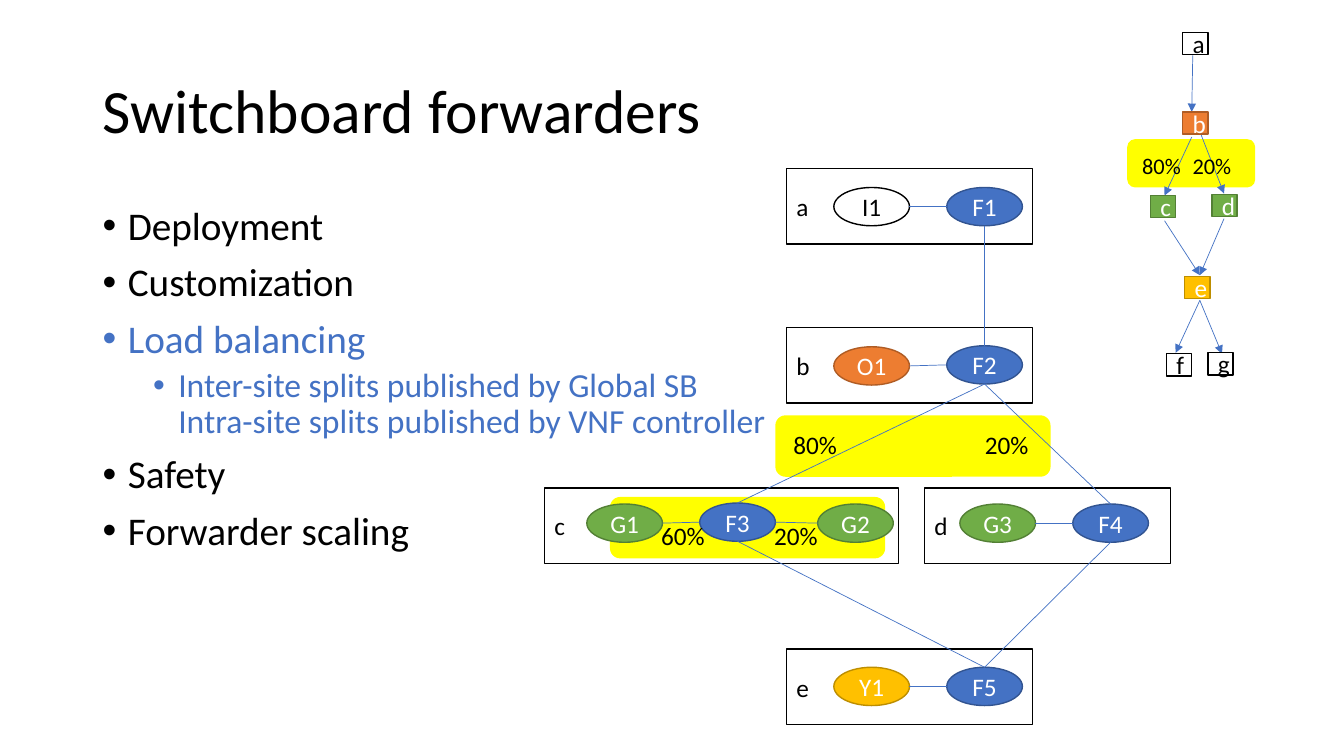
"""Build the slide on Switchboard forwarders and load balancing."""
import lxml.etree
import pptx
import pptx.util
import pptx.dml.color
import pptx.enum.shapes
import pptx.enum.text
import pptx.oxml.ns

Inches, Pt = pptx.util.Inches, pptx.util.Pt
MSO = pptx.enum.shapes.MSO_SHAPE
ALIGN = pptx.enum.text.PP_ALIGN
ANCHOR = pptx.enum.text.MSO_ANCHOR

BLACK, WHITE, YELLOW, BLUE = "000000", "FFFFFF", "FFFF00", "4472C4"
STYLES = {
    "plain": (WHITE, BLACK, BLACK),
    "blue": (BLUE, "325491", WHITE),
    "orange": ("ED7D31", "AF5C24", WHITE),
    "green": ("70AD47", "538035", WHITE),
    "gold": ("FFC000", "BD8E00", WHITE),
}
TITLE = "Switchboard forwarders"
BULLETS = [
    ("Deployment", 0, BLACK),
    ("Customization", 0, BLACK),
    ("Load balancing", 0, BLUE),
    ("Inter-site splits published by Global SB "
     "Intra-site splits published by VNF controller", 1, BLUE),
    ("Safety", 0, BLACK),
    ("Forwarder scaling", 0, BLACK),
]
LEVELS = [(28, 10, 0.25), (24, 5, 0.75)]
HIGHLIGHTS = [(6.05, 4.93, 2.73, 0.61), (7.69, 4.12, 2.73, 0.61)]
SPLIT_HIGHLIGHT = (11.18, 1.38, 1.27, 0.48)
SITE_H = 0.75
SITES = [("a", 7.8, 1.67, 2.44, WHITE), ("b", 7.8, 3.25, 2.44, WHITE),
         ("c", 5.4, 4.84, 3.51, None), ("d", 9.17, 4.84, 2.44, WHITE),
         ("e", 7.8, 6.44, 2.44, WHITE)]
NODE_W, NODE_H = 0.75, 0.38
NODES = {
    "I1": (8.27, 1.86, "plain"), "F1": (9.39, 1.86, "blue"),
    "O1": (8.27, 3.44, "orange"), "F2": (9.39, 3.43, "blue"),
    "G3": (9.52, 5, "green"), "F4": (10.64, 5, "blue"),
    "G1": (5.82, 5, "green"), "F3": (6.94, 4.99, "blue"),
    "G2": (8.11, 5, "green"),
    "Y1": (8.27, 6.62, "gold"), "F5": (9.39, 6.62, "blue"),
}
SITE_LINKS = [("I1", "F1"), ("O1", "F2"), ("G3", "F4"),
              ("G1", "F3"), ("F3", "G2"), ("Y1", "F5")]
CROSS_LINKS = [("F1", "F2"), ("F2", "F3"), ("F2", "F4"),
               ("F3", "F5"), ("F4", "F5")]
SPLITS = [("80%", 7.77, 4.21), ("20%", 9.67, 4.21),
          ("60%", 6.46, 5.11), ("20%", 7.58, 5.11)]
ARROWS = [(11.83, 0.55, 11.82, 1.11), (11.82, 1.36, 11.55, 1.94),
          (11.91, 1.33, 12.14, 1.92), (11.55, 2.19, 11.9, 2.73),
          (12.14, 2.17, 11.9, 2.73), (11.9, 2.98, 11.66, 3.5),
          (11.9, 2.98, 12.12, 3.51)]
CHAIN_W, CHAIN_H = 0.25, 0.22
CHAIN = [("b", 11.73, 1.11, "orange"), ("c", 11.41, 1.94, "green"),
         ("d", 12.02, 1.93, "green"), ("e", 11.75, 2.74, "gold"),
         ("a", 11.73, 0.32, "plain"), ("f", 11.57, 3.51, "plain"),
         ("g", 11.98, 3.5, "plain")]

prs = pptx.Presentation()
prs.slide_width, prs.slide_height = Inches(13.33), Inches(7.5)
s = prs.slides.add_slide(prs.slide_layouts[6])


def rgb(color):
    return pptx.dml.color.RGBColor.from_string(color)


def xml(parent, tag, **attrs):
    el = lxml.etree.SubElement(parent, pptx.oxml.ns.qn(f"a:{tag}"))
    for name, value in attrs.items():
        el.set(name, str(value))
    return el


def write(p, text, size=18, color=BLACK, **formats):
    for name, value in formats.items():
        setattr(p, name, value)
    r = p.add_run()
    r.text = text
    for name, value in {"name": "Calibri", "size": Pt(size)}.items():
        setattr(r.font, name, value)
    r.font.color.rgb = rgb(color)


def add_box(kind, box, fill, line=None):
    sp = s.shapes.add_shape(kind, *map(Inches, box))
    sp.shadow.inherit = False
    if fill:
        sp.fill.solid()
        sp.fill.fore_color.rgb = rgb(fill)
    else:
        sp.fill.background()
    if line:
        sp.line.color.rgb = rgb(line)
        sp.line.width = Pt(1)
    else:
        sp.line.fill.background()
    sp.text_frame.vertical_anchor = ANCHOR.MIDDLE
    sp.text_frame.word_wrap = True
    return sp


def add_node(kind, text, box, style):
    fill, line, color = STYLES[style]
    sp = add_box(kind, box, fill, line)
    write(sp.text_frame.paragraphs[0], text, color=color,
          alignment=ALIGN.CENTER)


def add_text(box, wrap=True):
    tf = s.shapes.add_textbox(*map(Inches, box)).text_frame
    tf.word_wrap = wrap
    return tf


def add_line(x1, y1, x2, y2, arrow=False):
    line = s.shapes.add_connector(pptx.enum.shapes.MSO_CONNECTOR.STRAIGHT,
                                  *map(Inches, (x1, y1, x2, y2)))
    line.line.color.rgb = rgb(BLUE)
    line.line.width = Pt(0.5)
    spPr = line._element.spPr
    if arrow:
        xml(spPr.get_or_add_ln(), "tailEnd", type="triangle")
    xml(spPr, "effectLst")


for box in HIGHLIGHTS:
    add_box(MSO.ROUNDED_RECTANGLE, box, YELLOW)

tf = add_text((0.92, 0.4, 11.5, 1.45))
tf.vertical_anchor = ANCHOR.MIDDLE
write(tf.paragraphs[0], TITLE, 44, line_spacing=0.9)

tf = add_text((0.92, 2, 6.84, 4.76))
for i, (text, level, color) in enumerate(BULLETS):
    size, before, indent = LEVELS[level]
    p = tf.add_paragraph() if i else tf.paragraphs[0]
    write(p, text, size, color, level=level, line_spacing=0.9,
          space_before=Pt(before))
    pPr = p._p.get_or_add_pPr()
    pPr.set("marL", str(Inches(indent)))
    pPr.set("indent", str(Inches(-0.25)))
    xml(pPr, "buFont", typeface="Arial")
    xml(pPr, "buChar", char="•")

for text, x, y, w, fill in SITES:
    sp = add_box(MSO.RECTANGLE, (x, y, w, SITE_H), fill, BLACK)
    write(sp.text_frame.paragraphs[0], text, alignment=ALIGN.LEFT)

for text, (x, y, style) in NODES.items():
    add_node(MSO.OVAL, text, (x, y, NODE_W, NODE_H), style)
for left, right in SITE_LINKS:
    (x1, y1, _), (x2, y2, _) = NODES[left], NODES[right]
    add_line(x1 + NODE_W, y1 + NODE_H / 2, x2, y2 + NODE_H / 2)
for upper, lower in CROSS_LINKS:
    (x1, y1, _), (x2, y2, _) = NODES[upper], NODES[lower]
    add_line(x1 + NODE_W / 2, y1 + NODE_H, x2 + NODE_W / 2, y2)

for text, x, y in SPLITS:
    write(add_text((x, y, 0.64, 0.4), False).paragraphs[0], text)

add_box(MSO.ROUNDED_RECTANGLE, SPLIT_HIGHLIGHT, YELLOW)
for ends in ARROWS:
    add_line(*ends, arrow=True)
p = add_text((11.18, 1.46, 1.39, 0.37)).paragraphs[0]
write(p, "80%\t20%", 16)
pPr = p._p.get_or_add_pPr()
pPr.set("marL", str(Inches(0.05)))
pPr.set("indent", "0")
xml(xml(pPr, "tabLst"), "tab", pos=Inches(0.78), algn="l")

for text, x, y, style in CHAIN:
    add_node(MSO.RECTANGLE, text, (x, y, CHAIN_W, CHAIN_H), style)

prs.save("out.pptx")
